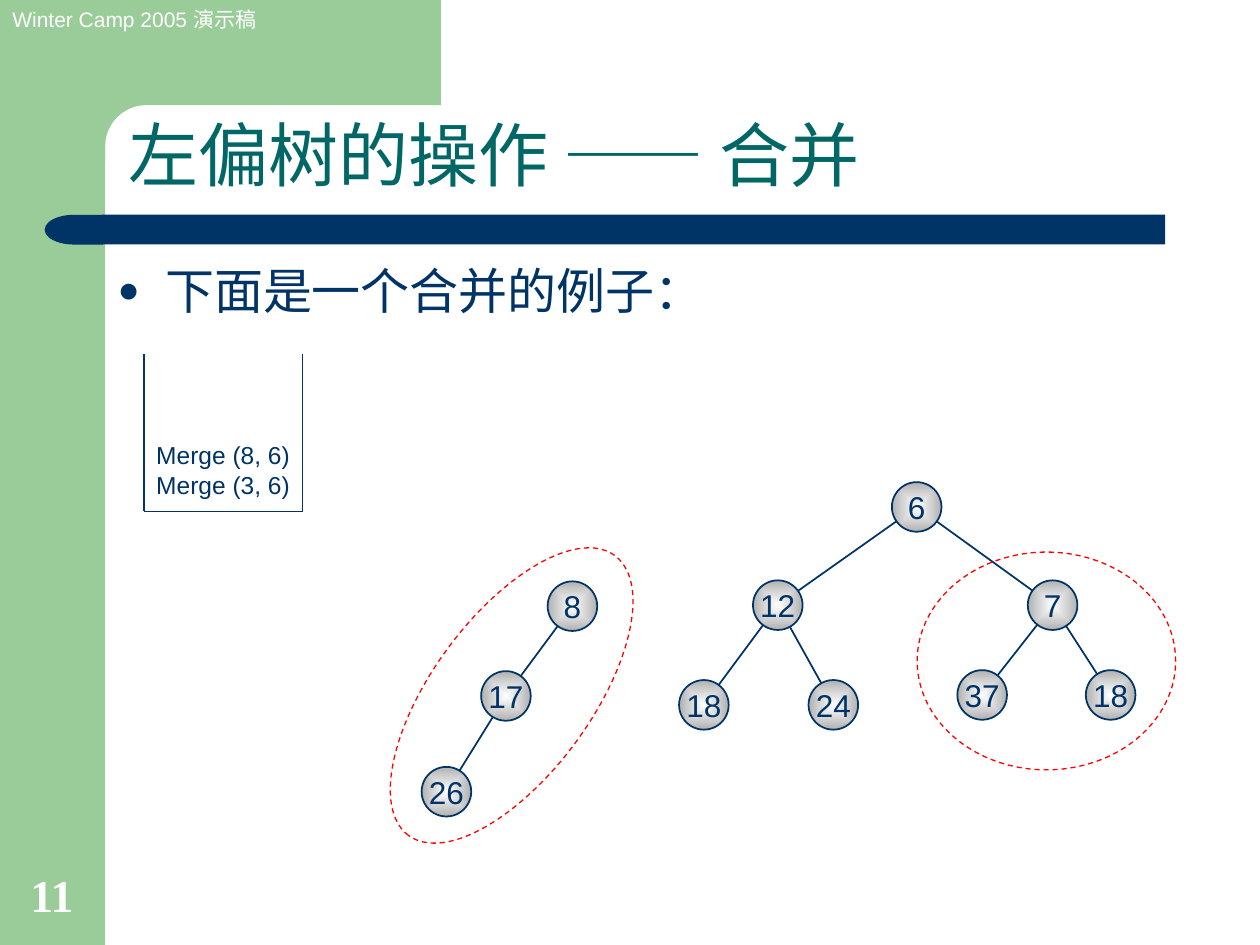
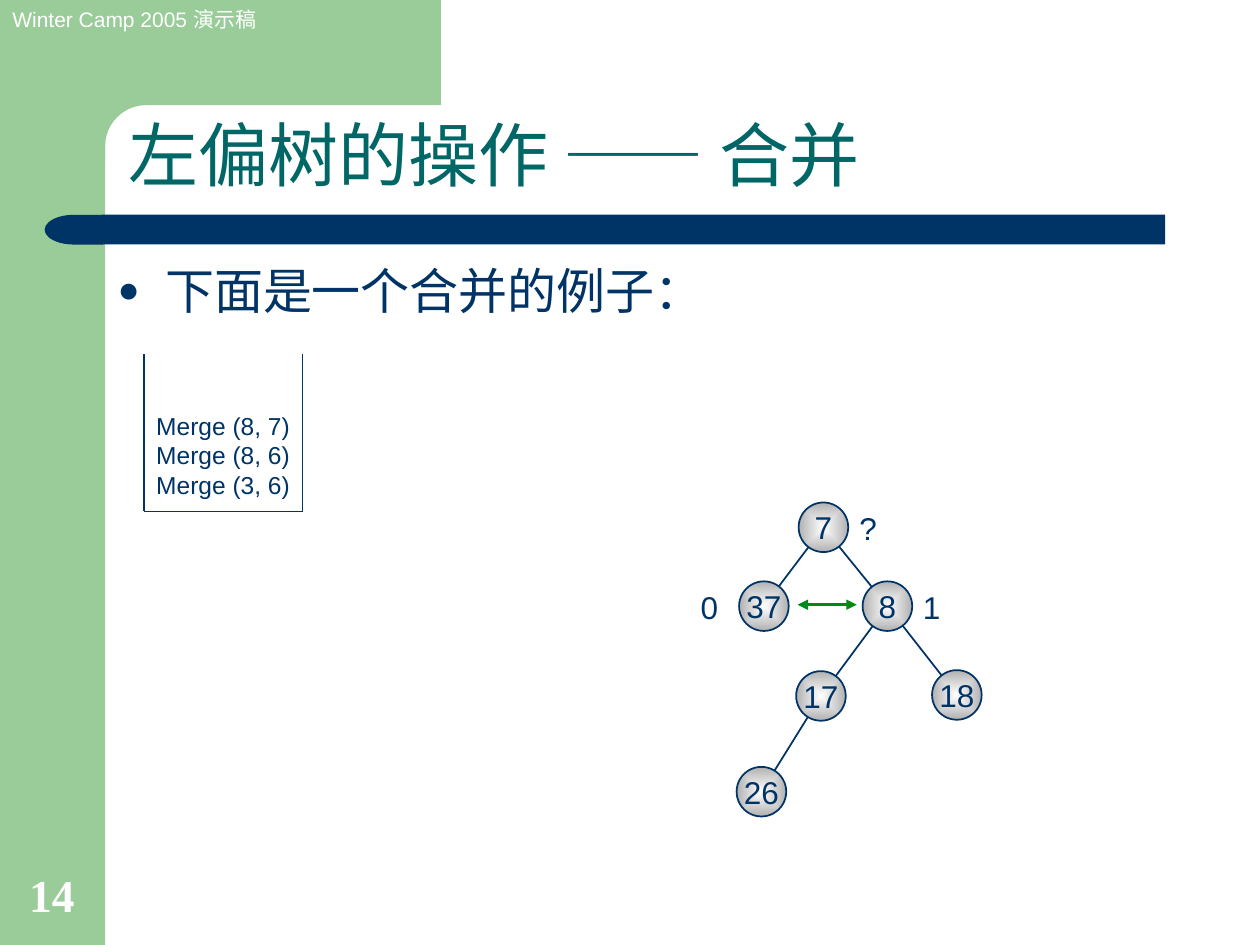
"""Build two slides that show how leftist trees are merged."""
from math import cos, hypot, pi, sin

from pptx import Presentation
from pptx.dml.color import RGBColor
from pptx.enum.dml import MSO_LINE
from pptx.enum.shapes import MSO_CONNECTOR, MSO_SHAPE
from pptx.enum.text import MSO_ANCHOR, MSO_AUTO_SIZE, PP_ALIGN
from pptx.oxml import parse_xml
from pptx.oxml.ns import nsdecls, qn
from pptx.oxml.xmlchemy import OxmlElement
from pptx.util import Cm, Pt

GREEN, NAVY, TEAL, WHITE = "99CC99", "003366", "006666", "FFFFFF"
RED, LEAF, GREY = "FF0000", "008A0D", "B1B1B1"

FONTS = {
    "head": {"name": "Arial", "size": Pt(12), "color": WHITE},
    "title": {"name": "Arial", "size": Pt(40), "color": TEAL},
    "list": {"name": "Arial", "size": Pt(28), "color": NAVY},
    "call": {"name": "Arial", "size": Pt(14), "color": NAVY},
    "node": {"name": "Arial", "size": Pt(18), "color": NAVY},
    "page": {"name": "Times New Roman", "size": Pt(26), "bold": True, "color": WHITE},
}
PADS = {
    "margin_left": Cm(0.25), "margin_right": Cm(0.25),
    "margin_top": Cm(0.13), "margin_bottom": Cm(0.13),
    "auto_size": MSO_AUTO_SIZE.NONE,
}
SIZE = 1
TRIM = 0.12


def rgb(code):
    return RGBColor.from_string(code)


def put(item, values):
    for name, value in values.items():
        if name == "color":
            item.color.rgb = rgb(value)
        else:
            setattr(item, name, value)


def tag(name, **values):
    item = OxmlElement(name)
    for key, value in values.items():
        item.set(key, str(value))
    return item


def place(item, *box):
    put(item, dict(zip(("left", "top", "width", "height"), map(Cm, box))))


class Deck:
    def __init__(self):
        self.show = Presentation()
        put(self.show, {"slide_width": Cm(25.4), "slide_height": Cm(19.05)})
        self.slide = None

    def letter(self, item, text, font, align=PP_ALIGN.LEFT, anchor=MSO_ANCHOR.TOP, wrap=True):
        frame = item.text_frame
        put(frame, {**PADS, "word_wrap": wrap, "vertical_anchor": anchor})
        frame.text = text
        for para in frame.paragraphs:
            para.alignment = align
            for run in para.runs:
                put(run.font, FONTS[font])
        return frame.paragraphs[0]

    def label(self, text, box, font, **style):
        item = self.slide.shapes.add_textbox(*map(Cm, box))
        self.letter(item, text, font, **style)

    def shape(self, kind, box, fill=None, line=None, width=1):
        item = self.slide.shapes.add_shape(kind, *map(Cm, box))
        self.paint(item, fill, line, width)
        return item

    def paint(self, item, fill=None, line=None, width=1):
        item.shadow.inherit = False
        if fill:
            item.fill.solid()
            item.fill.fore_color.rgb = rgb(fill)
        else:
            item.fill.background()
        if line:
            put(item.line, {"color": line, "width": Pt(width)})
        else:
            item.line.fill.background()

    def line(self, start, end, color=NAVY, width=1, arrows=False):
        item = self.slide.shapes.add_connector(
            MSO_CONNECTOR.STRAIGHT, *map(Cm, (*start, *end)))
        put(item.line, {"color": color, "width": Pt(width)})
        props = item.element.spPr
        if arrows:
            for name in ("a:headEnd", "a:tailEnd"):
                props.find(qn("a:ln")).append(tag(name, type="triangle"))
        props.append(tag("a:effectLst"))

    def ring(self, box, turn=0):
        item = self.shape(MSO_SHAPE.OVAL, box, line=RED, width=0.75)
        put(item, {"rotation": turn})
        put(item.line, {"dash_style": MSO_LINE.DASH})

    def node(self, text, x, y):
        box = (x - SIZE / 2, y - SIZE / 2, SIZE, SIZE)
        item = self.shape(MSO_SHAPE.OVAL, box, WHITE, NAVY)
        props = item.element.spPr
        fade = parse_xml(
            f'<a:gradFill {nsdecls("a")} rotWithShape="1"><a:gsLst>'
            f'<a:gs pos="0"><a:srgbClr val="{WHITE}"/></a:gs>'
            f'<a:gs pos="100000"><a:srgbClr val="{GREY}"/></a:gs></a:gsLst>'
            '<a:path path="rect"><a:fillToRect l="50000" t="50000" r="50000" b="50000"/>'
            '</a:path></a:gradFill>')
        props.replace(props.find(qn("a:solidFill")), fade)
        self.letter(item, text, "node", PP_ALIGN.CENTER, MSO_ANCHOR.MIDDLE, False)

    def tree(self, root):
        text, x, y, *kids = root
        for kid in kids:
            wide, high = kid[1] - x, kid[2] - y
            part = TRIM / hypot(wide, high)
            self.line((x + wide * part, y + high * part),
                      (kid[1] - wide * part, kid[2] - high * part))
            self.tree(kid)
        self.node(text, x, y)

    def stack(self, calls):
        left, right, top, base = 2.9, 6.1, 7.14, 10.31
        high = 0.25 + 0.6 * len(calls)
        self.label("\n".join(calls), (left, base - 0.12 - high, right - left, high),
                   "call", anchor=MSO_ANCHOR.BOTTOM, wrap=False)
        ends = [(left, top), (left, base), (right, base), (right, top)]
        for start, end in zip(ends, ends[1:]):
            self.line(start, end, width=0.75)

    def corner(self):
        edge, radius, steps = 2.12, 0.83, 12
        mid = edge + radius
        turns = [pi / 2 * step / steps for step in range(steps + 1)]
        arc = [(mid - radius * sin(turn), mid - radius * cos(turn)) for turn in turns]
        points = [(8.89, edge), *arc, (edge, 3.25), (1.27, 3.25), (1.27, 0)]
        pen = self.slide.shapes.build_freeform(Cm(8.89), 0)
        pen.add_line_segments([(Cm(x), Cm(y)) for x, y in points])
        self.paint(pen.convert_to_shape(), GREEN)

    def page(self, number, title, text):
        self.slide = self.show.slides.add_slide(self.show.slide_layouts[1])
        self.shape(MSO_SHAPE.RECTANGLE, (0, 0, 2.12, 19.05), GREEN)
        self.corner()
        self.shape(MSO_SHAPE.RECTANGLE, (2.06, 4.33, 21.43, 0.6), NAVY)
        cap = self.shape(MSO_SHAPE.FLOWCHART_DELAY, (0.9, 4.33, 1.18, 0.6), NAVY)
        put(cap, {"rotation": 180})
        self.label("Winter Camp 2005 演示稿", (0, 0, 5.8, 0.76), "head")
        self.label(number, (0.23, 17.35, 1.63, 1.35), "page",
                   align=PP_ALIGN.CENTER, anchor=MSO_ANCHOR.BOTTOM, wrap=False)
        head, body = self.slide.placeholders
        place(head, 2.34, 2.36, 21.13, 1.73)
        para = self.letter(head, title, "title", anchor=MSO_ANCHOR.BOTTOM)
        put(para, {"line_spacing": 0.9})
        place(body, 2.12, 5.13, 21.4, 12.4)
        self.bullet(self.letter(body, text, "list"))

    def bullet(self, para):
        put(para, {"space_before": Pt(7)})
        props = para._p.get_or_add_pPr()
        for key, value in {"marL": Cm(0.96), "indent": Cm(-0.96)}.items():
            props.set(key, str(int(value)))
        tint = tag("a:buClr")
        tint.append(tag("a:srgbClr", val=NAVY))
        for item in (tint, tag("a:buSzPct", val=75000),
                     tag("a:buFont", typeface="Arial"), tag("a:buChar", char="●")):
            props.append(item)


def chain(x, *more):
    return ("8", x, 12.22,
            ("17", x - 1.34, 14.03, ("26", x - 2.54, 15.96)), *more)


def main():
    deck = Deck()
    title, text = "左偏树的操作 —— 合并", "下面是一个合并的例子："
    calls = ["Merge (8, 7)", "Merge (8, 6)", "Merge (3, 6)"]

    deck.page("11", title, text)
    deck.tree(("6", 18.48, 10.22,
               ("12", 15.68, 12.2, ("18", 14.19, 14.21), ("24", 16.8, 14.21)),
               ("7", 21.22, 12.2, ("37", 19.8, 14.01), ("18", 22.39, 14.01))))
    deck.tree(chain(11.54))
    deck.stack(calls[1:])
    deck.ring((6.81, 12.42, 7.01, 3.2), 306.4)
    deck.ring((18.49, 11.13, 5.21, 4.39))

    deck.page("14", title, text)
    deck.stack(calls)
    deck.tree(("7", 16.6, 10.63, ("37", 15.4, 12.22),
               chain(17.89, ("18", 19.29, 14.01))))
    for rank, x, y in (("0", 14.3, 12.24), ("1", 18.78, 12.24), ("?", 17.5, 10.64)):
        deck.label(rank, (x - 0.4, y - 0.5, 0.8, SIZE), "node",
                   align=PP_ALIGN.CENTER, anchor=MSO_ANCHOR.MIDDLE, wrap=False)
    deck.line((16.08, 12.19), (17.27, 12.19), LEAF, 1.5, True)

    deck.show.save("out.pptx")


if __name__ == "__main__":
    main()
